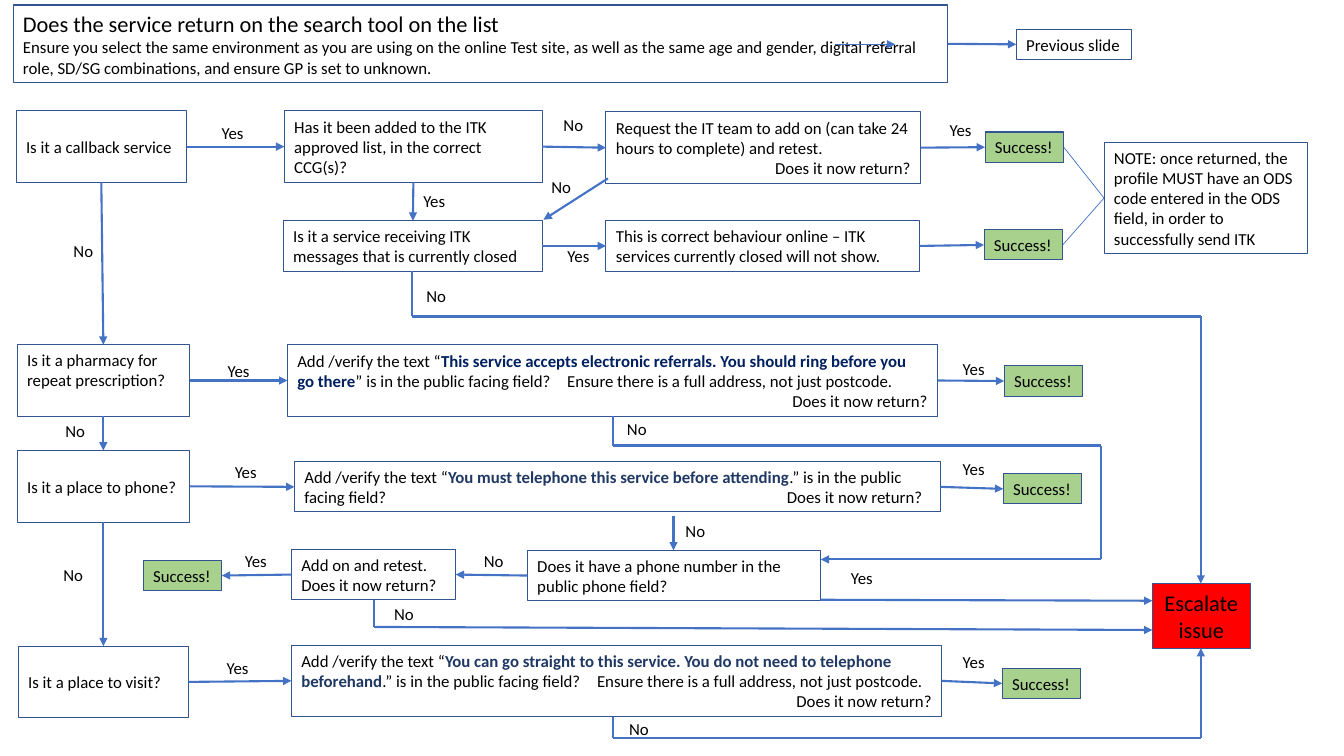
"""Build the service search troubleshooting flowchart slide."""
from itertools import pairwise

from lxml import etree
from pptx import Presentation
from pptx.dml.color import RGBColor
from pptx.enum import shapes, text
from pptx.oxml import ns
from pptx.util import Inches, Pt

BLACK = RGBColor(0x00, 0x00, 0x00)
OUTLINE = RGBColor(0x32, 0x54, 0x91)
ARROW = RGBColor(0x44, 0x72, 0xC4)
GREEN = RGBColor(0xA9, 0xD1, 0x8E)
RED = RGBColor(0xFF, 0x00, 0x00)
NAVY = RGBColor(0x00, 0x20, 0x60)
INDIGO = RGBColor(0x20, 0x38, 0x64)
TOP, LEFT, BOTTOM, RIGHT = range(4)
RETURNS = "Does it now return?"


class Flowchart:
    """Hold the style and the current slide."""

    font = "Calibri"
    size = 12

    def __init__(self, slide):
        self.shapes = slide.shapes

    def style(self, paragraph, size=None, accent=None):
        for index, run in enumerate(paragraph.runs):
            quoted = accent is not None and index == 1
            run.font.name = self.font
            run.font.size = Pt(size or self.size)
            run.font.bold = quoted
            run.font.color.rgb = accent if quoted else BLACK

    def box(self, wording, left, top, width, height, fill=None, size=None,
            align=text.PP_ALIGN.LEFT, anchor=text.MSO_ANCHOR.MIDDLE, wrap=True):
        box = self.shapes.add_shape(shapes.MSO_SHAPE.RECTANGLE, Inches(left),
                                    Inches(top), Inches(width), Inches(height))
        box.shadow.inherit = False
        if fill is None:
            box.fill.background()
        else:
            box.fill.solid()
            box.fill.fore_color.rgb = fill
        box.line.color.rgb = OUTLINE
        box.line.width = Pt(0.75)
        frame = box.text_frame
        frame.text = wording
        frame.word_wrap = wrap
        frame.vertical_anchor = anchor
        for paragraph in frame.paragraphs:
            paragraph.alignment = align
            self.style(paragraph, size)
        return box

    def instruction(self, quote, ending, left, top, width, height, accent):
        box = self.box("", left, top, width, height)
        paragraph = box.text_frame.paragraphs[0]
        for part in ("Add /verify the text “", quote, ending):
            paragraph.add_run().text = part
        self.style(paragraph, accent=accent)
        return box

    def closing(self, box):
        paragraph = box.text_frame.add_paragraph()
        paragraph.text = RETURNS
        paragraph.alignment = text.PP_ALIGN.RIGHT
        self.style(paragraph)

    def right_tab(self, box, position):
        properties = box.text_frame.paragraphs[0]._p.get_or_add_pPr()
        stops = etree.SubElement(properties, ns.qn("a:tabLst"))
        etree.SubElement(stops, ns.qn("a:tab"), pos=str(Inches(position)), algn="r")

    def success(self, left, top):
        return self.box("Success!", left, top, 0.78, 0.3, fill=GREEN)

    def label(self, wording, left, top):
        label = self.shapes.add_textbox(Inches(left), Inches(top), Inches(0.42), Inches(0.3))
        label.text_frame.text = wording
        label.text_frame.word_wrap = False
        self.style(label.text_frame.paragraphs[0])

    def line(self, start, end, width=1.5, head=True):
        line = self.shapes.add_connector(shapes.MSO_CONNECTOR.STRAIGHT,
                                         *map(Inches, start + end))
        line.line.color.rgb = ARROW
        line.line.width = Pt(width)
        properties = line._element.spPr
        if head:
            etree.SubElement(properties.find(ns.qn("a:ln")), ns.qn("a:tailEnd"), type="triangle")
        etree.SubElement(properties, ns.qn("a:effectLst"))
        return line

    def link(self, source, target, leave=RIGHT, enter=LEFT, **look):
        line = self.line((0, 0), (1, 1), **look)
        line.begin_connect(source, leave)
        line.end_connect(target, enter)

    def route(self, *points):
        for start, end in pairwise(points):
            self.line(start, end, head=end == points[-1])


deck = Presentation()
deck.slide_width, deck.slide_height = Inches(13.33), Inches(7.5)
chart = Flowchart(deck.slides.add_slide(deck.slide_layouts[6]))

heading = chart.box(
    "Does the service return on the search tool on the list\n"
    "Ensure you select the same environment as you are using on the online Test site, "
    "as well as the same age and gender, digital referral role, SD/SG combinations, "
    "and ensure GP is set to unknown.", 0.13, 0.05, 9.27, 0.77)
chart.style(heading.text_frame.paragraphs[0], size=16)
previous = chart.box("Previous slide", 10.08, 0.29, 1.14, 0.3, wrap=False)
chart.line((8.28, 0.44), (8.88, 0.44), width=0.5)

callback = chart.box("Is it a callback service", 0.16, 1.1, 1.69, 0.71)
pharmacy = chart.box("Is it a pharmacy for repeat prescription?", 0.17, 3.42, 1.71, 0.71,
                     anchor=text.MSO_ANCHOR.TOP)
phone = chart.box("Is it a place to phone?", 0.17, 4.47, 1.71, 0.71)
visit = chart.box("Is it a place to visit?", 0.18, 6.41, 1.69, 0.71)

approved = chart.box("Has it been added to the ITK approved list, in the correct CCG(s)?",
                     2.82, 1.1, 2.56, 0.71)
request = chart.box("Request the IT team to add on (can take 24 hours to complete) and retest.",
                    6.01, 1.11, 3.12, 0.71)
chart.closing(request)
closed = chart.box("Is it a service receiving ITK messages that is currently closed",
                   2.81, 2.19, 2.57, 0.5)
correct = chart.box("This is correct behaviour online – ITK services currently closed "
                    "will not show.", 6.01, 2.19, 3.11, 0.5)
note = chart.box("NOTE: once returned, the profile MUST have an ODS code entered in the ODS "
                 "field, in order to successfully send ITK", 10.95, 1.41, 2.02, 1.11)

public = " is in the public facing field?"
address = public + "\u2003Ensure there is a full address, not just postcode."
referrals = chart.instruction(
    "This service accepts electronic referrals. You should ring before you go there",
    "”" + address, 2.85, 3.42, 6.45, 0.71, NAVY)
telephone = chart.instruction(
    "You must telephone this service before attending", ".”" + public + "\t" + RETURNS,
    2.92, 4.58, 6.41, 0.5, INDIGO)
chart.right_tab(telephone, 6.13)
straight = chart.instruction(
    "You can go straight to this service. You do not need to telephone beforehand",
    ".”" + address, 2.89, 6.4, 6.45, 0.71, INDIGO)
for advice in (referrals, straight):
    chart.closing(advice)

number = chart.box("Does it have a phone number in the public phone field?", 5.23, 5.46, 2.91, 0.5)
retest = chart.box("Add on and retest.\n" + RETURNS, 2.89, 5.45, 1.63, 0.5)
escalate = chart.box("Escalate issue", 11.43, 5.79, 0.97, 0.64, fill=RED, size=16,
                     align=text.PP_ALIGN.CENTER)

added = chart.success(9.77, 1.31)
hidden = chart.success(9.76, 2.28)
retested = chart.success(1.42, 5.56)
for source, target in (
        (heading, previous), (callback, approved), (approved, request), (request, added),
        (closed, correct), (correct, hidden), (pharmacy, referrals), (phone, telephone),
        (visit, straight), (referrals, chart.success(9.96, 3.63)),
        (telephone, chart.success(9.95, 4.7)), (straight, chart.success(9.94, 6.63))):
    chart.link(source, target)
for source, target in ((number, retest), (retest, retested)):
    chart.link(source, target, LEFT, RIGHT)
for source, target in pairwise((callback, pharmacy, phone, visit)):
    chart.link(source, target, BOTTOM, TOP)
chart.link(approved, closed, BOTTOM, TOP)
for outcome in (added, hidden):
    chart.link(outcome, note, width=0.5, head=False)

chart.route((6.03, 1.77), (5.39, 2.18))
chart.route((4.09, 2.69), (4.09, 3.14), (11.91, 3.14), (11.91, 5.79))
chart.route((6.08, 4.13), (6.08, 4.42), (10.92, 4.42), (10.92, 5.55), (8.14, 5.55))
chart.route((6.68, 5.12), (6.68, 5.46))
chart.route((8.14, 5.95), (11.43, 5.96))
chart.route((3.71, 5.95), (3.71, 6.22), (11.43, 6.25))
chart.route((6.08, 7.11), (6.08, 7.32), (11.91, 7.32), (11.91, 6.43))

answers = {
    "Yes": ((2.1, 1.17), (9.32, 1.14), (4.1, 1.84), (5.53, 2.39), (2.16, 3.53), (9.45, 3.51),
            (2.23, 4.53), (9.45, 4.5), (2.33, 5.41), (8.34, 5.58), (2.15, 6.48), (9.45, 6.42)),
    "No": ((5.49, 1.09), (5.37, 1.7), (0.63, 2.34), (4.13, 2.79), (0.55, 4.12), (6.12, 4.11),
           (6.7, 5.12), (4.7, 5.41), (0.53, 5.55), (3.81, 5.94), (6.14, 7.08)),
}
for answer, places in answers.items():
    for place in places:
        chart.label(answer, *place)

deck.save("out.pptx")
